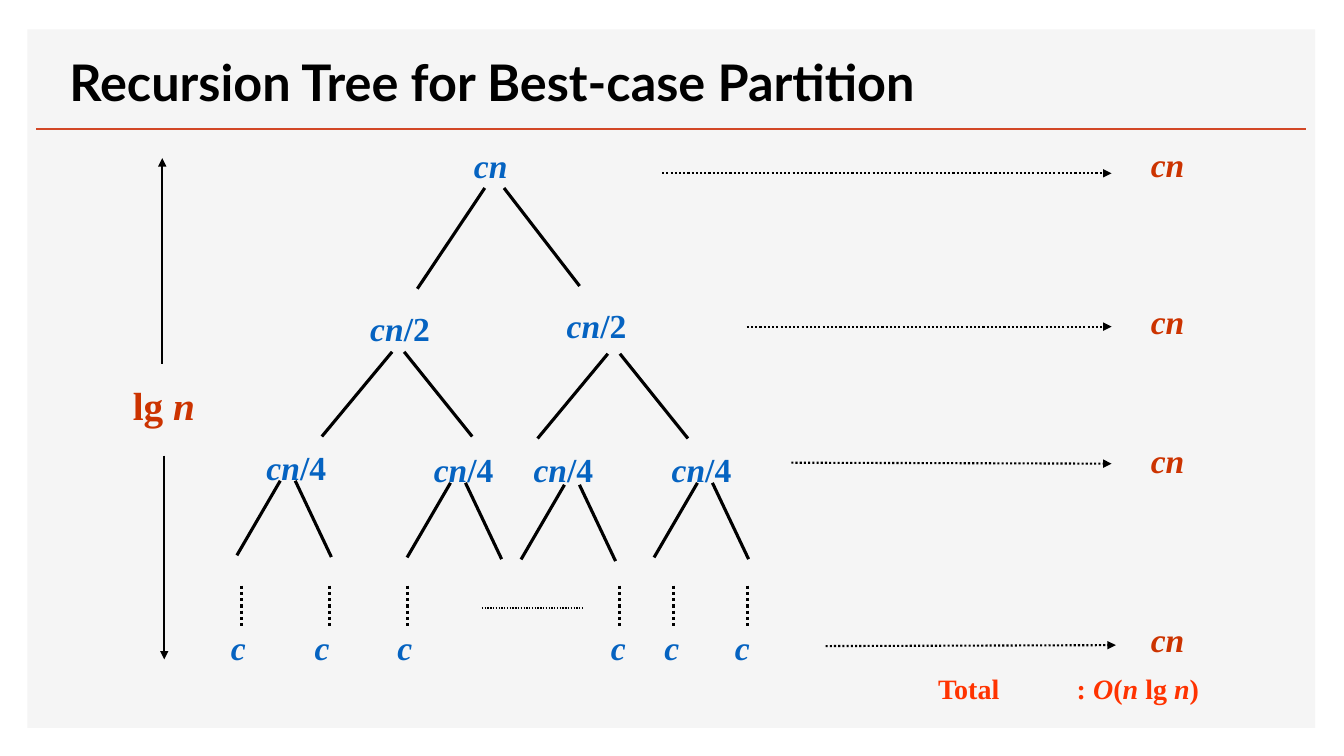
from lxml.etree import SubElement
from pptx import Presentation
from pptx.dml.color import RGBColor
from pptx.enum.dml import MSO_LINE
from pptx.enum.shapes import MSO_CONNECTOR, MSO_SHAPE
from pptx.enum.text import MSO_ANCHOR as ANCHOR, PP_ALIGN as ALIGN
from pptx.oxml.ns import qn
from pptx.util import Pt

BLACK = RGBColor(0x00, 0x00, 0x00)
PANEL = RGBColor(0xF5, 0xF5, 0xF5)
RULE = RGBColor(0xD2, 0x47, 0x26)
BLUE = RGBColor(0x05, 0x63, 0xC1)
RUST = RGBColor(0xCC, 0x33, 0x00)
RED = RGBColor(0xFF, 0x33, 0x00)

SERIF = "Times New Roman"
NODE_H = 36.5
CN = [("cn", True)]


def add_line(s, x1, y1, x2, y2, width=2.25, color=BLACK, dotted=False, arrow=False):
    line = s.shapes.add_connector(MSO_CONNECTOR.STRAIGHT, Pt(x1), Pt(y1), Pt(x2), Pt(y2))
    line.line.width = Pt(width)
    line.line.color.rgb = color
    if dotted:
        line.line.dash_style = MSO_LINE.ROUND_DOT
    sp_pr = line.line._get_or_add_ln().getparent()
    if arrow:
        SubElement(sp_pr.find(qn("a:ln")), qn("a:tailEnd"), type="triangle")
    SubElement(sp_pr, qn("a:effectLst"))


def add_text(s, x, y, w, h, runs, size, color, font=SERIF, align=ALIGN.LEFT,
             wrap=False, anchor=ANCHOR.TOP):
    """Write (text, italic) runs in one bold paragraph and return it."""
    tf = s.shapes.add_textbox(Pt(x), Pt(y), Pt(w), Pt(h)).text_frame
    tf.word_wrap = wrap
    tf.vertical_anchor = anchor
    p = tf.paragraphs[0]
    p.alignment = align
    for text, italic in runs:
        r = p.add_run()
        r.text = text
        fmt = {"name": font, "size": Pt(size), "bold": True, "italic": italic}
        for key, value in fmt.items():
            setattr(r.font, key, value)
        r.font.color.rgb = color
    return p


def add_frame(s, x, y, w, h):
    # Grey panel with the title above a rule
    panel = s.shapes.add_shape(MSO_SHAPE.RECTANGLE, Pt(x), Pt(y), Pt(w), Pt(h))
    panel.shadow.inherit = False
    panel.fill.solid()
    panel.fill.fore_color.rgb = PANEL
    panel.line.fill.background()
    add_line(s, x + 6.5, y + 71.2, x + w - 6.5, y + 71.2, 2, RULE)
    add_text(s, x + 23, y + 7.2, 892, 55.4,
             [("Recursion Tree for Best-case Partition", False)], 36, BLACK,
             "Lato", wrap=True, anchor=ANCHOR.BOTTOM)


def add_height(s, x, y, w, h):
    # Tree height: label between an up and a down arrow
    mid = x + w / 2
    add_line(s, mid - 1.4, y + 147, mid - 1.4, y, 1.5, arrow=True)
    add_line(s, mid, y + 212.5, mid, y + h, 1.5, arrow=True)
    add_text(s, x, y + 155.6, w, 41, [("lg ", False), ("n", True)], 28, RUST)


def add_tree(s, x, y):
    # Nodes: divisor, then centre and top of each node
    levels = [
        ("", [(192.6, 0)]),
        ("/2", [(127.8, 116.7), (268.2, 114.6)]),
        ("/4", [(53.7, 215.4), (173.2, 216.8), (244.5, 216.8), (343.1, 216.8)]),
    ]
    for divisor, nodes in levels:
        runs = CN + ([(divisor, False)] if divisor else [])
        w = 57.6 if divisor else 39
        for cx, top in nodes:
            add_text(s, x + cx - w / 2, y + top, w, NODE_H, runs, 24, BLUE,
                     align=ALIGN.CENTER)

    # Forks: left reach, gap, right reach, left drop, right drop, then the tops
    forks = [
        (48.2, 13.7, 67.7, 72, 70, [(188.3, 34.3)]),
        (50.2, 8.6, 57.2, 60.5, 60.5, [(122.1, 151.3), (276.2, 152.7)]),
        (31, 10.7, 36.5, 53.3, 54.5,
         [(42.2, 243.4), (163.8, 244.9), (245.2, 246.3), (340.2, 244.9)]),
    ]
    for left, gap, right, left_drop, right_drop, tops in forks:
        for tx, ty in tops:
            fx, fy = x + tx, y + ty
            add_line(s, fx, fy, fx - left, fy + left_drop)
            add_line(s, fx + gap, fy, fx + right, fy + right_drop)

    # Leaves: dotted stem and label centres
    leaves = [(14.8, 12.3), (77.4, 72), (132.9, 131.1),
              (284.8, 283.7), (323, 321.9), (376.2, 372.3)]
    for stem, cx in leaves:
        add_line(s, x + stem, y + 318.3, x + stem, y + 348.6, dotted=True)
        add_text(s, x + cx - 12.6, y + 344.2, 25.2, NODE_H, [("c", True)], 24, BLUE,
                 align=ALIGN.CENTER)
    add_line(s, x + 186.2, y + 334.2, x + 258.9, y + 334.2, 1, dotted=True)


def add_costs(s, x, y):
    # Cost per level: arrow start, arrow end, start and end heights, label top
    rows = [
        (0, 321, 24.8, 24.8, 0.4),
        (60.5, 321, 134.3, 134.3, 112.7),
        (92.2, 321, 231.5, 232.2, 212),
        (116.7, 324, 362.5, 361.8, 339.5),
    ]
    for x1, x2, y1, y2, top in rows:
        add_line(s, x + x1, y + y1, x + x2, y + y2, 1.5, dotted=True, arrow=True)
        add_text(s, x + 342, y + top, 39, 36, CN, 24, RUST)

    # Total, with a tab before the colon
    p = add_text(s, x + 190, y + 377, 210, 31.7,
                 [("Total\t: ", False), ("O", True), ("(", False), ("n ", True),
                  ("lg ", False), ("n", True), (")", False)], 20, RED, wrap=True)
    tabs = SubElement(p._p.get_or_add_pPr(), qn("a:tabLst"))
    SubElement(tabs, qn("a:tab"), pos=str(Pt(99)), algn="l")


def main():
    prs = Presentation()
    prs.slide_width, prs.slide_height = Pt(960), Pt(540)
    s = prs.slides.add_slide(prs.slide_layouts[6])
    add_frame(s, 19.5, 21, 920, 499)
    add_tree(s, 158, 100)
    add_costs(s, 473, 99)
    add_height(s, 87.8, 113, 59, 358)
    prs.save("out.pptx")


if __name__ == "__main__":
    main()
